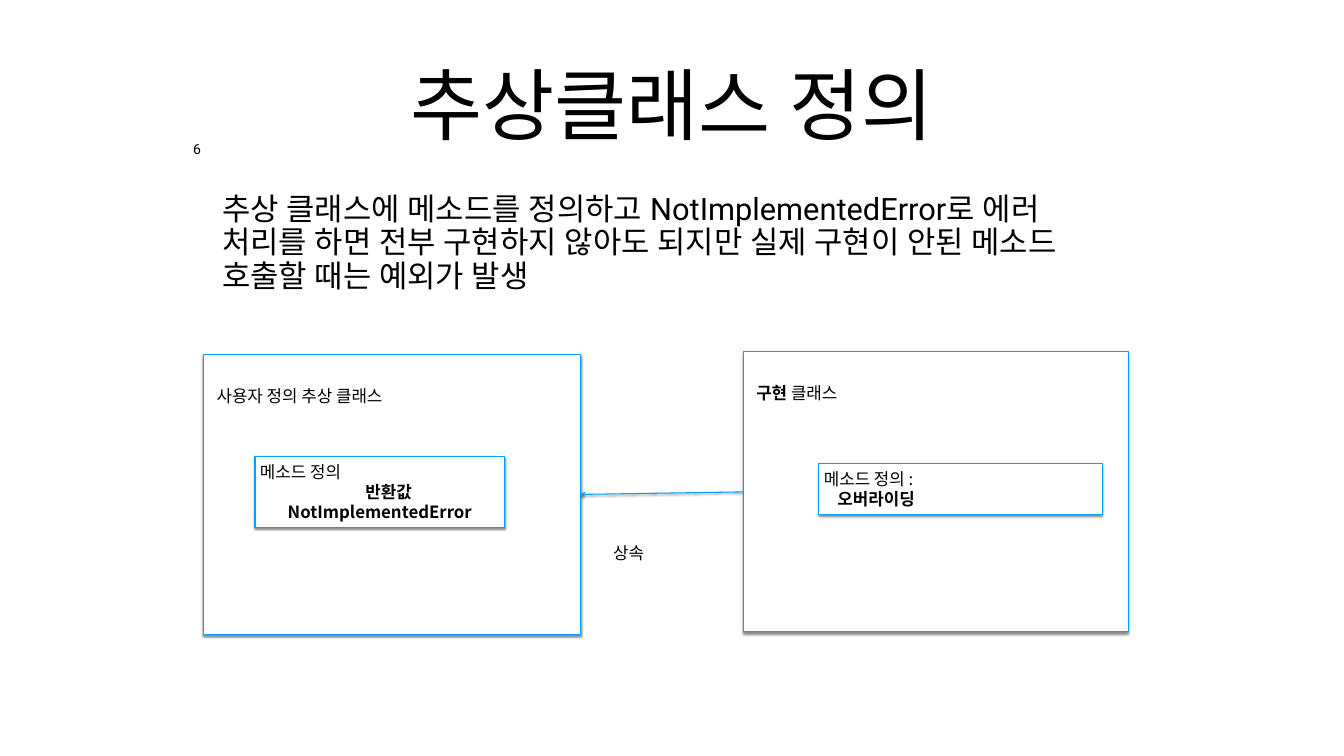
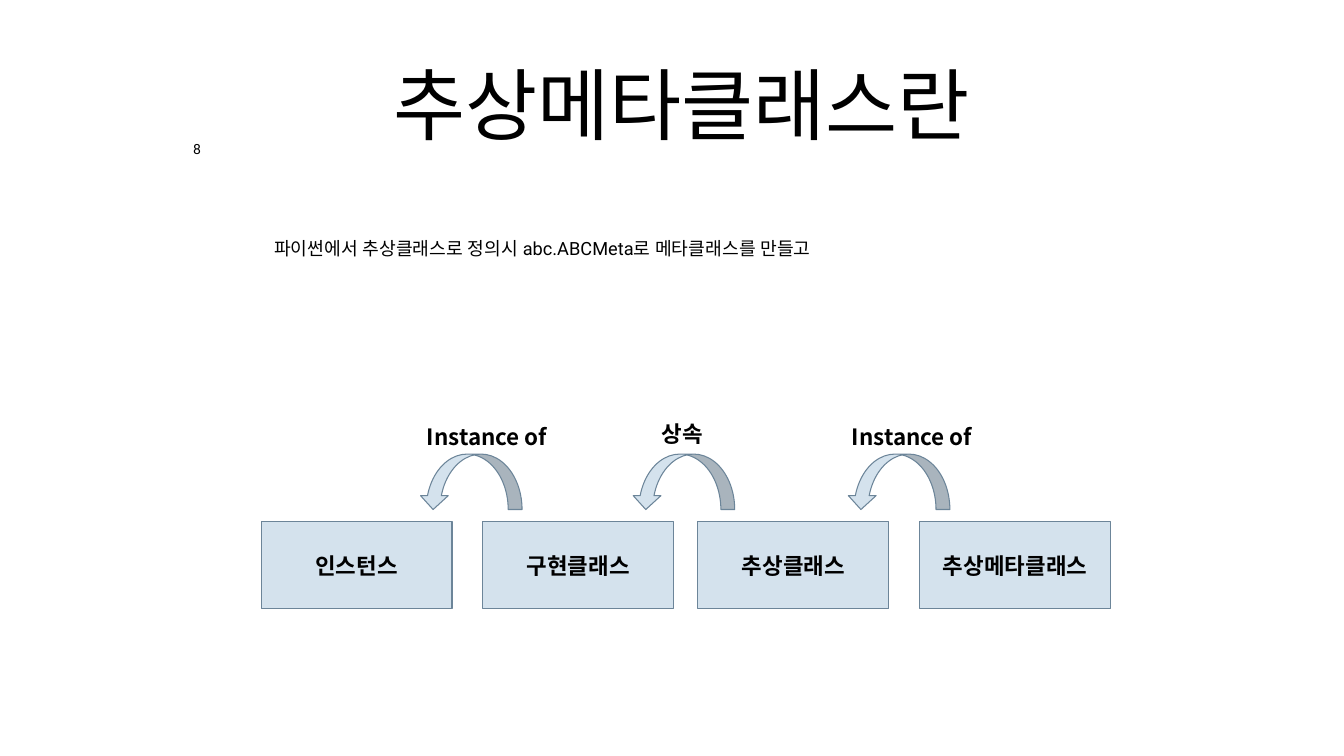
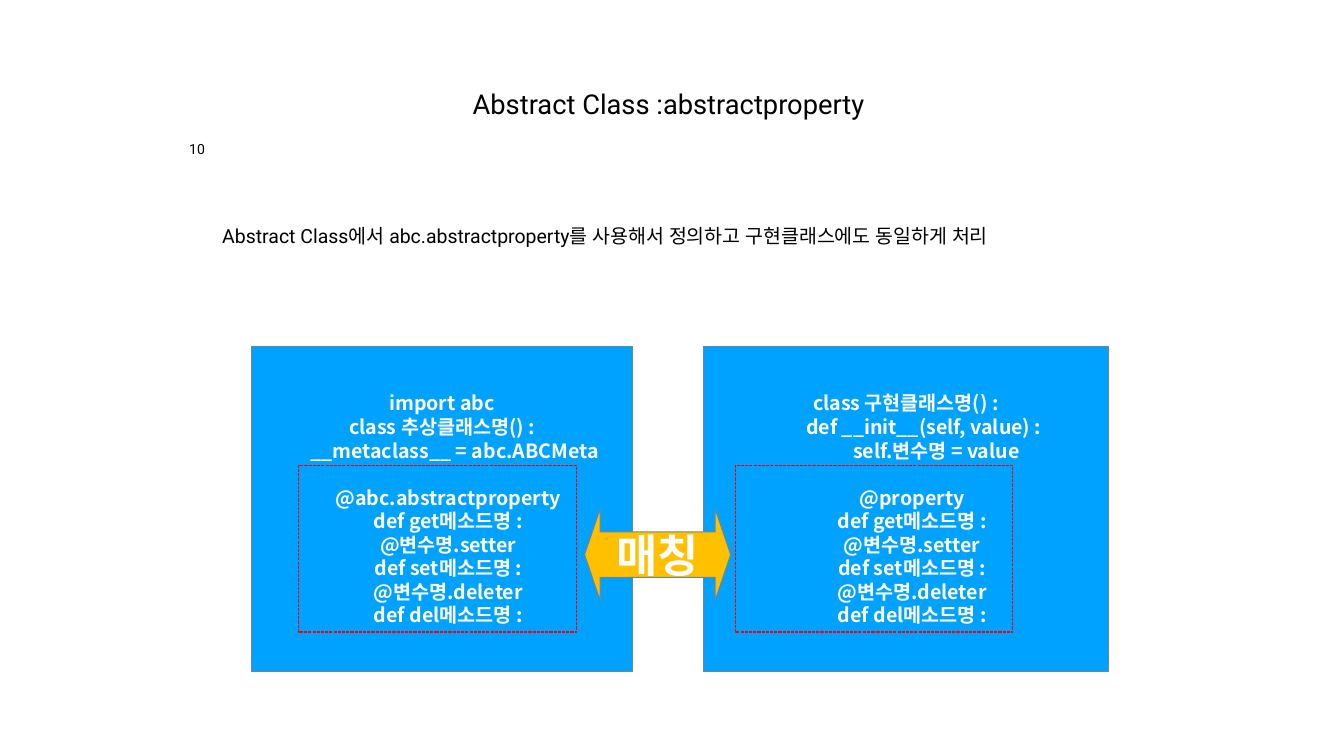
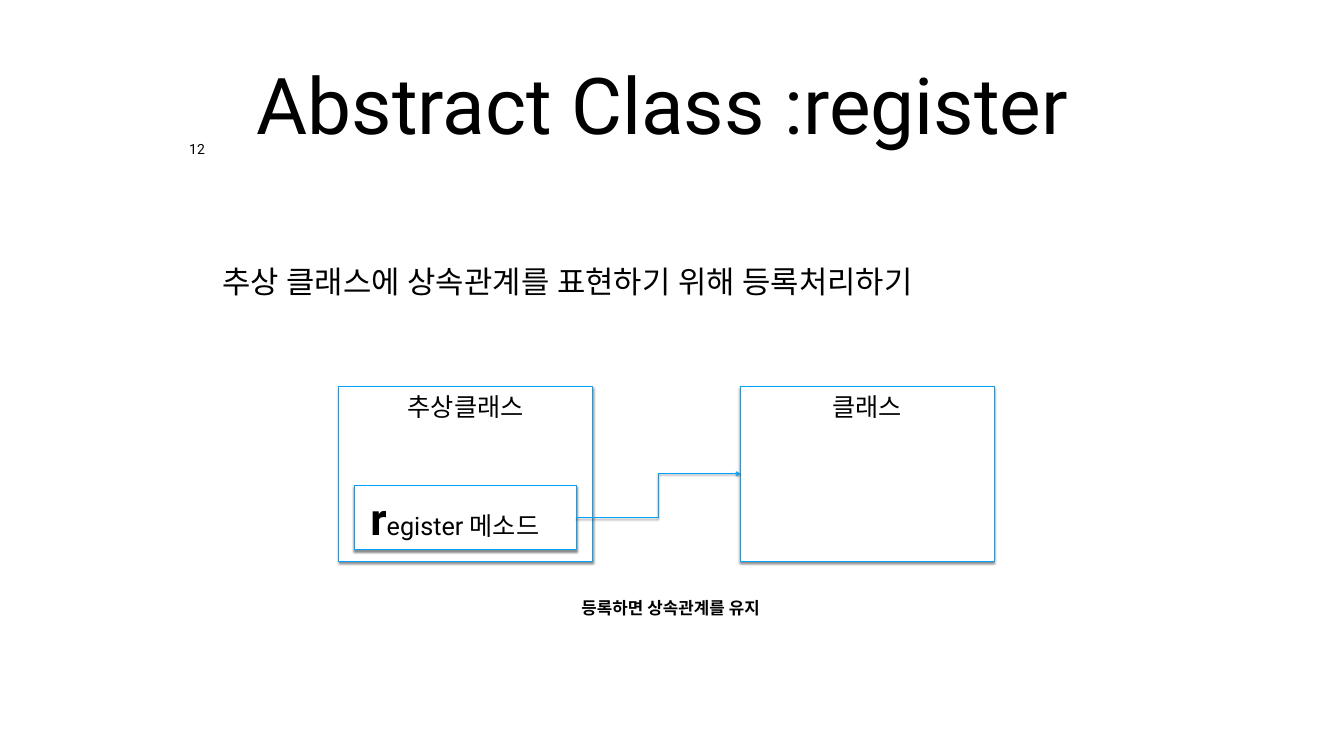
from lxml import etree
from pptx import Presentation
from pptx import util as u
from pptx.dml.color import RGBColor
from pptx.enum import dml, shapes, text
from pptx.oxml.ns import qn

# Shared colours, fonts and names
BLACK, WHITE, RED = "000000", "FFFFFF", "FF0000"
BLUE, PALE, SLATE, GOLD = "00A2FF", "D4E2ED", "6C8599", "FFC000"
SANS, NOTO = "Roboto", "Noto Sans CJK KR"
rgb = RGBColor.from_string
RECT = shapes.MSO_SHAPE.RECTANGLE
LINK = shapes.MSO_CONNECTOR
LEFT, MID = text.PP_ALIGN.LEFT, text.PP_ALIGN.CENTER
TOP, CORE = text.MSO_ANCHOR.TOP, text.MSO_ANCHOR.MIDDLE


def draw(page, kind, at, fill=None, line=None, cast=False):
    """Add a text box (kind None), a connector with an arrowhead, or a shape."""
    at = [u.Inches(n) for n in at]
    if kind is None:
        return page.shapes.add_textbox(*at)
    link = isinstance(kind, LINK)
    item = (page.shapes.add_connector if link else page.shapes.add_shape)(kind, *at)
    item.line.color.rgb = rgb(line)
    item.line.width = u.Pt(1.5)
    if link:
        ln = item.line._get_or_add_ln()
        etree.SubElement(ln, qn("a:tailEnd"), type="arrow")
    elif fill:
        item.fill.solid()
        item.fill.fore_color.rgb = rgb(fill)
    else:
        item.fill.background()
    # Effect list: empty, or a soft shadow straight below
    fx = etree.SubElement(item._element.spPr, qn("a:effectLst"))
    if cast:
        drop = etree.SubElement(fx, qn("a:outerShdw"), blurRad=str(u.Pt(3)),
                                dist=str(u.Pt(2.4)), dir="5400000", rotWithShape="0")
        tint = etree.SubElement(drop, qn("a:srgbClr"), val=BLACK)
        etree.SubElement(tint, qn("a:alpha"), val="45000")
    return item


def write(item, paras, size, font=NOTO, color=BLACK, bold=False, align=LEFT,
          anchor=TOP, inset=0.1, wrap=True):
    """Fill a shape; a paragraph is a string or a list of (text, size, bold)."""
    frame = item.text_frame
    frame.word_wrap = wrap
    frame.vertical_anchor = anchor
    frame.margin_left = frame.margin_right = u.Inches(inset)
    frame.margin_top = frame.margin_bottom = u.Inches(inset)
    for n, runs in enumerate(paras):
        para = frame.add_paragraph() if n else frame.paragraphs[0]
        para.alignment = align
        for words, pts, heavy in [(runs, size, bold)] if isinstance(runs, str) else runs:
            run = para.add_run()
            run.text = words
            run.font.name, run.font.size, run.font.bold = font, u.Pt(pts), heavy
            run.font.color.rgb = rgb(color)
            etree.SubElement(run._r.get_or_add_rPr(), qn("a:ea"), typeface=font)
    return frame


deck = Presentation()
deck.slide_width, deck.slide_height = u.Inches(26.67), u.Inches(15)

# Title, page number and lead text of every slide
heads = [
    (6, "추상클래스 정의", 112,
     "추상 클래스에 메소드를 정의하고 NotImplementedError로 에러 처리를 하면 전부 구현하지 않아도 "
     "되지만 실제 구현이 안된 메소드 호출할 때는 예외가 발생", 44, (4.33, 3.66, 18, 3.84), 0.9),
    (8, " 추상메타클래스란", 112,
     "파이썬에서 추상클래스로 정의시 abc.ABCMeta로 메타클래스를 만들고", 26, (4.36, 3.45, 18, 2.94), 1),
    (10, "Abstract Class :abstractproperty ", 39,
     "Abstract Class에서 abc.abstractproperty를 사용해서 정의하고 구현클래스에도 동일하게 처리",
     27.8, (4.33, 3.66, 18, 2.11), 0.9),
    (12, "Abstract Class :register ", 112,
     "추상 클래스에 상속관계를 표현하기 위해 등록처리하기", 44, (4.33, 3.66, 18, 3.84), 1),
]
pages, leads = [], []
for num, title, big, lead, size, at, gap in heads:
    page = deck.slides.add_slide(deck.slide_layouts[6])
    write(draw(page, None, (4.8, 0.39, 17.07, 3.32)), [title], big, SANS,
          align=MID, anchor=CORE, inset=0.08)
    frame = write(draw(page, None, at), [lead], size, SANS, anchor=CORE, inset=0.08)
    frame.paragraphs[0].line_spacing = gap
    wide = 0.31 if num < 10 else 0.47
    mark = write(draw(page, None, (3.91 - wide / 2, 2.78, wide, 0.43)), [str(num)],
                 20, SANS, align=MID, inset=0.08, wrap=False)
    mark.margin_left = mark.margin_right = 0  # room for two digits on one line
    mark.paragraphs[0].line_spacing = 0.8
    pages.append(page)
    leads.append(frame)
base, meta, prop, reg = pages
leads[0].margin_bottom = u.Inches(1.56)
leads[1].paragraphs[0]._p.get_or_add_pPr().set("marL", str(u.Inches(1)))

# Slide 1: abstract class and the class that inherits from it
for at in [(4.04, 7.03, 7.48, 5.56), (14.75, 6.98, 7.64, 5.56)]:
    draw(base, RECT, at, WHITE, BLUE, True)
for at, runs in [
    ((4.2, 7.55, 5.9, 0.61), "사용자 정의 추상 클래스"),
    ((14.91, 7.5, 4.76, 0.61), [("구현 ", 24, True), ("클래스", 24, False)]),
    ((12.07, 10.66, 1.89, 0.61), "상속"),
]:
    write(draw(base, None, at), [runs], 24)
for at, first, last, side, key, dent in [
    ((5.06, 9.05, 4.95, 1.41), "메소드 정의", "반환값 NotImplementedError", MID, "indent", 0.35),
    ((16.25, 9.2, 5.62, 1.01), "메소드 정의 :", "오버라이딩", LEFT, "marL", 0.27),
]:
    frame = write(draw(base, RECT, at, WHITE, BLUE, True),
                  [first, [(last, 24, True)]], 24, anchor=CORE)
    para = frame.paragraphs[1]
    para.alignment = side
    para._p.get_or_add_pPr().set(key, str(u.Inches(dent)))
draw(base, LINK.STRAIGHT, (14.75, 9.76, 11.52, 9.81), line=BLUE, cast=True)

# Slide 2: chain from instance to abstract metaclass
for left, name in [(5.18, "인스턴스"), (9.58, "구현클래스"),
                   (13.85, "추상클래스"), (18.25, "추상메타클래스")]:
    write(draw(meta, RECT, (left, 10.35, 3.79, 1.73), PALE, SLATE), [name], 32,
          bold=True, align=MID, anchor=CORE)
for left, at, name in [
    (8.32, (7.86, 8.3, 3.61, 0.74), "Instance of"),
    (12.54, (12.26, 8.23, 2.56, 0.74), "상속"),
    (16.81, (16.53, 8.3, 3.14, 0.74), "Instance of"),
]:
    arc = draw(meta, shapes.MSO_SHAPE.CURVED_DOWN_ARROW, (left, 9.01, 2.04, 1.1), PALE, SLATE)
    arc._element.spPr.get_or_add_xfrm().set("flipH", "1")
    write(draw(meta, None, at), [name], 32, bold=True, align=MID)

# Slide 3: matching property code, each line with its indent
tail = ["def get메소드명 :", "@변수명.setter", "def set메소드명 :",
        "@변수명.deleter", "def del메소드명 :"]
for left, wide, code, dents, frame_x in [
    (13.96, 8.03, ["class 구현클래스명() :", "def __init__(self, value) :",
                   "self.변수명 = value", "@property"], (0, 0.71, 1.21), 14.59),
    (4.99, 7.56, ["import abc", "class 추상클래스명() :", "__metaclass__ = abc.ABCMeta",
                  "@abc.abstractproperty"], (0, 0, 0.5), 5.93),
]:
    frame = write(draw(prop, RECT, (left, 6.87, wide, 6.46), BLUE, SLATE), code + tail,
                  28, color=WHITE, bold=True, align=MID, anchor=CORE)
    for para, dent in zip(frame.paragraphs, dents + (0.25,) * 6):
        para._p.get_or_add_pPr().set("marL", str(u.Inches(dent)))
    frame.paragraphs[3].space_before = u.Pt(33.7)
    dash = draw(prop, RECT, (frame_x, 9.23, 5.51, 3.31), line=RED)
    dash.line.dash_style = dml.MSO_LINE.SQUARE_DOT
both = draw(prop, shapes.MSO_SHAPE.LEFT_RIGHT_ARROW, (11.6, 10.1, 2.9, 1.81), GOLD, SLATE)
both.adjustments[0], both.adjustments[1] = 0.5, 0.17
write(both, ["매칭"], 64, color=WHITE, bold=True, align=MID, anchor=CORE)

# Slide 4: registering a class
for left, name in [(6.72, "추상클래스"), (14.69, "클래스")]:
    write(draw(reg, RECT, (left, 7.66, 5.04, 3.48), WHITE, BLUE, True), [name], 36,
          SANS, align=MID)
frame = write(draw(reg, RECT, (7.03, 9.63, 4.41, 1.28), WHITE, BLUE, True),
              [[("r", 64, True), ("egister 메소드", 36, False)]], 36, SANS, anchor=CORE)
frame.paragraphs[0]._p.get_or_add_pPr().set("marL", str(u.Inches(0.22)))
draw(reg, LINK.ELBOW, (11.44, 10.27, 14.69, 9.4), line=BLUE, cast=True)
write(draw(reg, None, (11.44, 11.75, 4.72, 0.61)), ["등록하면 상속관계를 유지"], 24,
      SANS, bold=True)

deck.save("out.pptx")
